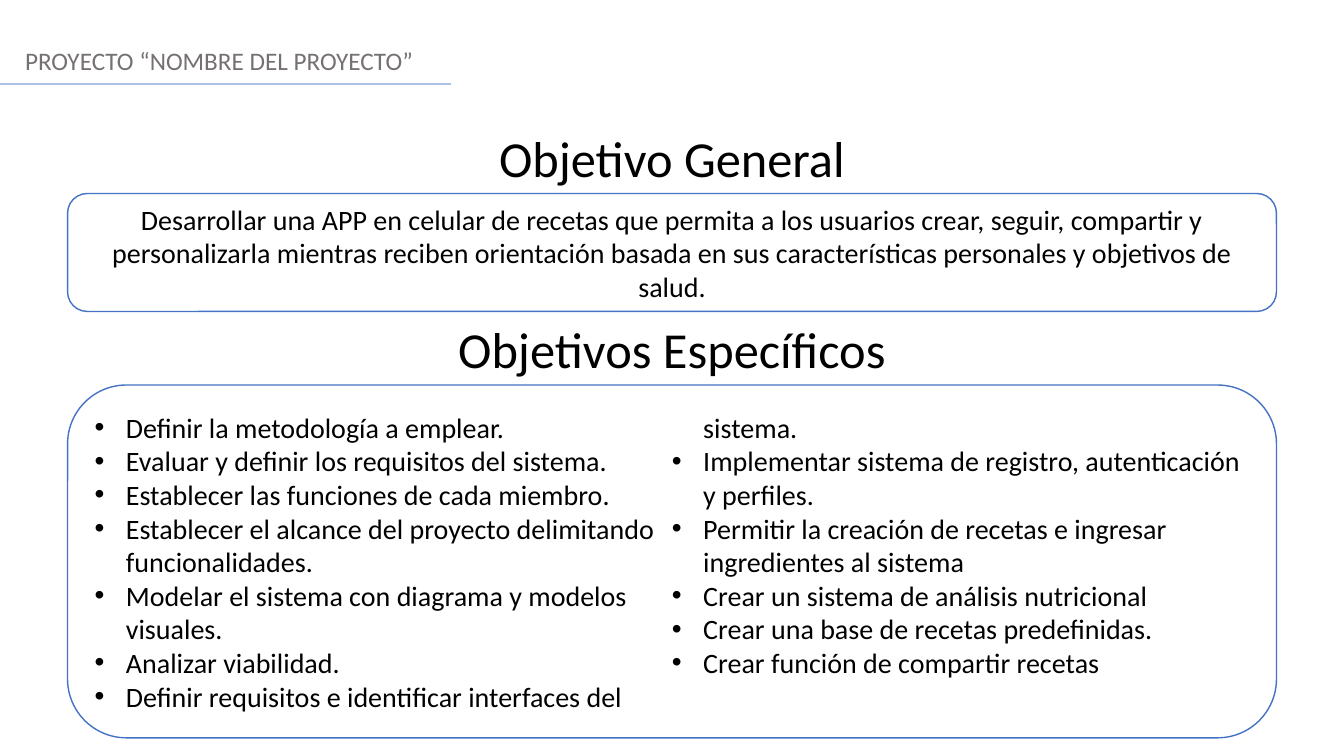
from lxml import etree
from pptx import Presentation
from pptx.dml.color import RGBColor
from pptx.enum.shapes import MSO_CONNECTOR, MSO_SHAPE
from pptx.enum.text import MSO_ANCHOR, PP_ALIGN
from pptx.oxml.ns import qn
from pptx.util import Inches, Pt

LEFT, CENTER = PP_ALIGN.LEFT, PP_ALIGN.CENTER
MIDDLE = MSO_ANCHOR.MIDDLE
ROUNDED = MSO_SHAPE.ROUNDED_RECTANGLE
STRAIGHT = MSO_CONNECTOR.STRAIGHT

# Content
PROJECT = "PROYECTO “NOMBRE DEL PROYECTO”"
GENERAL_TITLE = "Objetivo General"
GENERAL_GOAL = (
    "Desarrollar una APP en celular de recetas que permita a los usuarios crear, "
    "seguir, compartir y personalizarla mientras reciben orientación basada en sus "
    "características personales y objetivos de salud."
)
SPECIFIC_TITLE = "Objetivos Específicos"
SPECIFIC_GOALS = [
    "Definir la metodología a emplear.",
    "Evaluar y definir los requisitos del sistema.",
    "Establecer las funciones de cada miembro.",
    "Establecer el alcance del proyecto delimitando funcionalidades.",
    "Modelar el sistema con diagrama y modelos visuales.",
    "Analizar viabilidad.",
    "Definir requisitos e identificar interfaces del sistema.",
    "Implementar sistema de registro, autenticación y perfiles.",
    "Permitir la creación de recetas e ingresar ingredientes al sistema",
    "Crear un sistema de análisis nutricional",
    "Crear una base de recetas predefinidas.",
    "Crear función de compartir recetas",
]


class Theme:
    font = "Calibri"
    header_size, title_size, body_size = 18, 36, 20
    header = RGBColor.from_string("767171")
    text = RGBColor.from_string("000000")
    panel = RGBColor.from_string("FFFFFF")
    border = RGBColor.from_string("4472C4")
    rule = RGBColor.from_string("ABC0E4")


# Layout in inches
PAGE_WIDTH, PAGE_HEIGHT = 13.33, 7.5
PANEL_WIDTH = 11.99
PANEL_LEFT = (PAGE_WIDTH - PANEL_WIDTH) / 2
TITLE_HEIGHT = 0.71
BULLET_INDENT = 0.31
HEADER_LEFT = 0.15
RULE_TOP, RULE_WIDTH = 0.83, 4.47
# Each section: title, title top, goals, panel height, bulleted
SECTIONS = [
    (GENERAL_TITLE, 1.21, [GENERAL_GOAL], 1.17, False),
    (SPECIFIC_TITLE, 3.11, SPECIFIC_GOALS, 3.5, True),
]


def write(para, text, size, color, align):
    para.alignment = align
    span = para.add_run()
    span.text = text
    span.font.name = Theme.font
    span.font.size = Pt(size)
    span.font.color.rgb = color


def add_label(page, text, left, top, width, height, size, color, align):
    box = page.shapes.add_textbox(Inches(left), Inches(top), Inches(width), Inches(height))
    box.text_frame.word_wrap = True
    write(box.text_frame.paragraphs[0], text, size, color, align)


def add_bullet(para):
    properties = para._p.get_or_add_pPr()
    properties.set("marL", str(Inches(BULLET_INDENT)))
    properties.set("indent", str(-Inches(BULLET_INDENT)))
    etree.SubElement(properties, qn("a:buFont")).set("typeface", "Arial")
    etree.SubElement(properties, qn("a:buChar")).set("char", "•")


def add_panel(page, goals, top, height, bulleted):
    panel = page.shapes.add_shape(
        ROUNDED, Inches(PANEL_LEFT), Inches(top), Inches(PANEL_WIDTH), Inches(height))
    panel.shadow.inherit = False
    panel.fill.solid()
    panel.fill.fore_color.rgb = Theme.panel
    panel.line.color.rgb = Theme.border
    panel.line.width = Pt(1)
    frame = panel.text_frame
    frame.word_wrap = True
    frame.vertical_anchor = MIDDLE
    if bulleted:
        frame._txBody.bodyPr.set("numCol", "2")
    for index, goal in enumerate(goals):
        para = frame.add_paragraph() if index else frame.paragraphs[0]
        write(para, goal, Theme.body_size, Theme.text, LEFT if bulleted else CENTER)
        if bulleted:
            add_bullet(para)


def main():
    deck = Presentation()
    deck.slide_width, deck.slide_height = Inches(PAGE_WIDTH), Inches(PAGE_HEIGHT)
    page = deck.slides.add_slide(deck.slide_layouts[6])

    # Header and its rule
    add_label(page, PROJECT, HEADER_LEFT, 0.4, PAGE_WIDTH - HEADER_LEFT, 0.4,
              Theme.header_size, Theme.header, LEFT)
    rule = page.shapes.add_connector(
        STRAIGHT, 0, Inches(RULE_TOP), Inches(RULE_WIDTH), Inches(RULE_TOP))
    rule.line.color.rgb = Theme.rule
    rule.line.width = Pt(1.25)
    etree.SubElement(rule._element.spPr, qn("a:effectLst"))

    # Titles, each with its panel directly below
    for title, top, goals, height, bulleted in SECTIONS:
        add_label(page, title, 0, top, PAGE_WIDTH, TITLE_HEIGHT,
                  Theme.title_size, Theme.text, CENTER)
        add_panel(page, goals, top + TITLE_HEIGHT, height, bulleted)

    deck.save("out.pptx")


if __name__ == "__main__":
    main()
